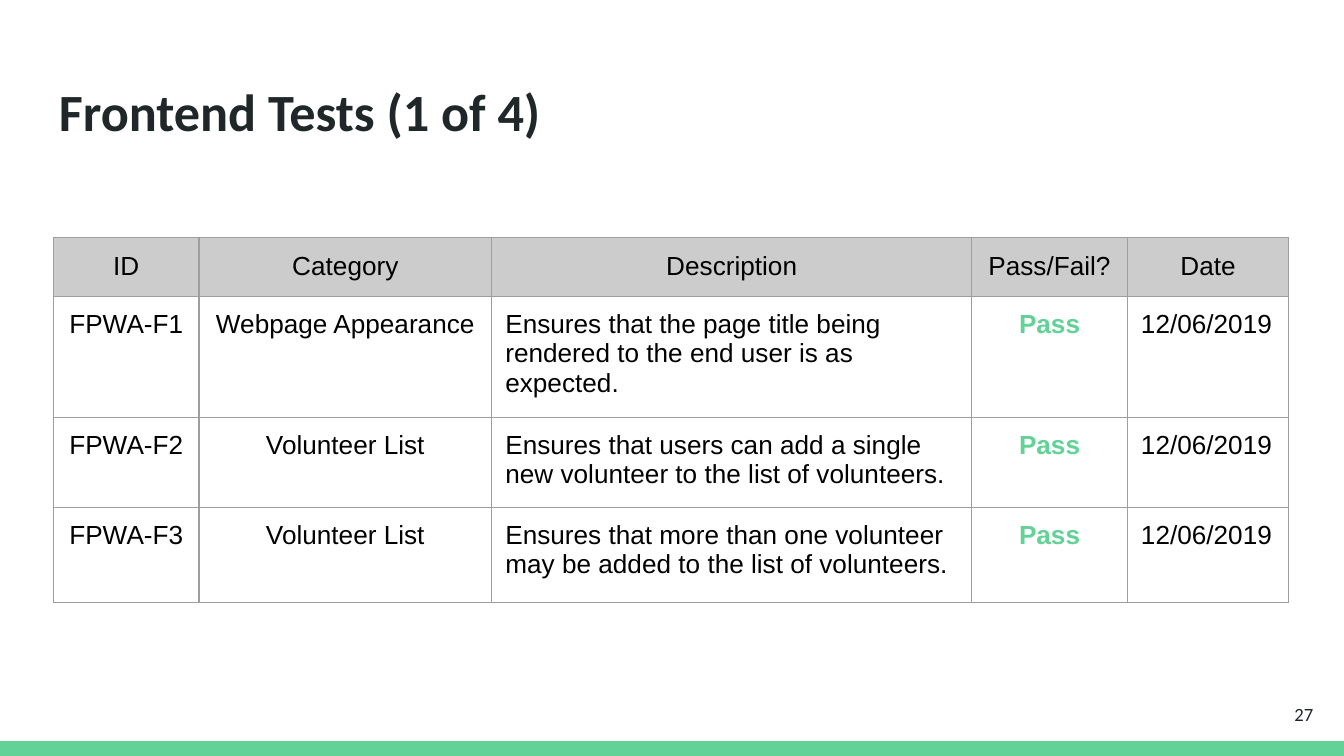
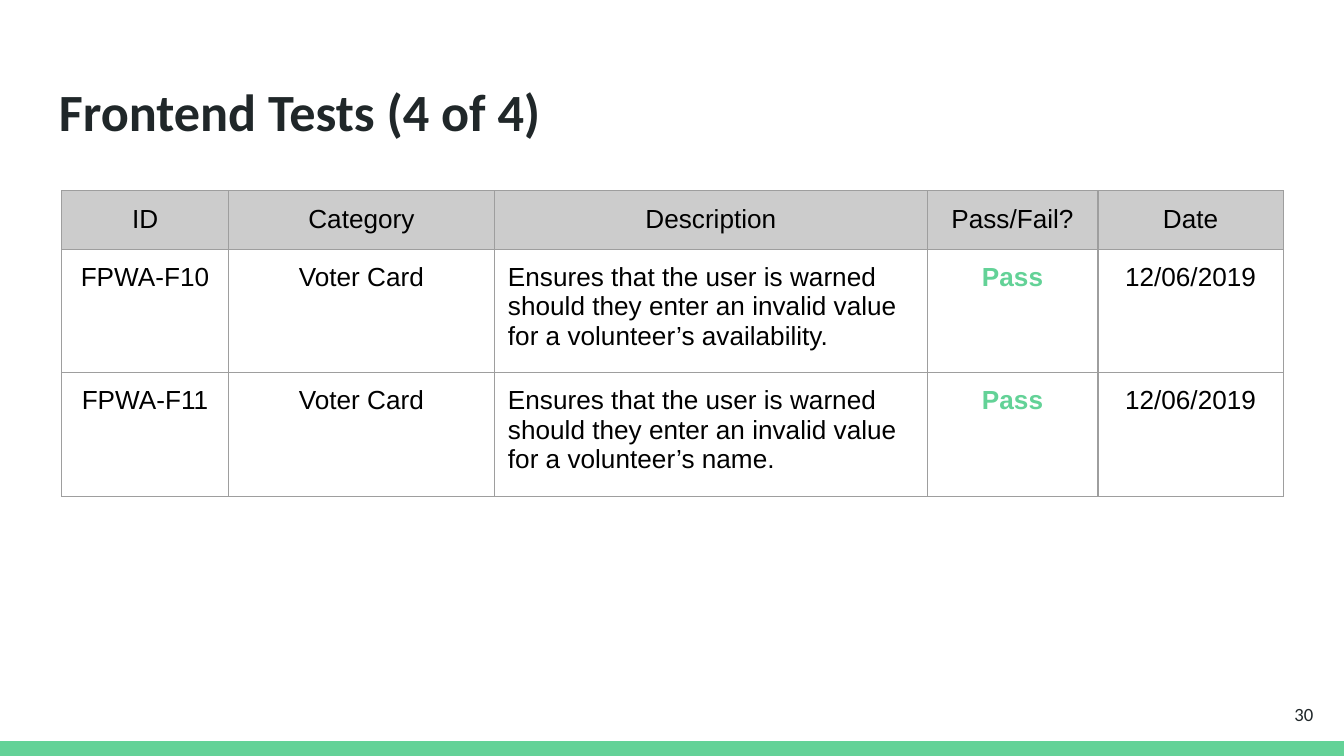
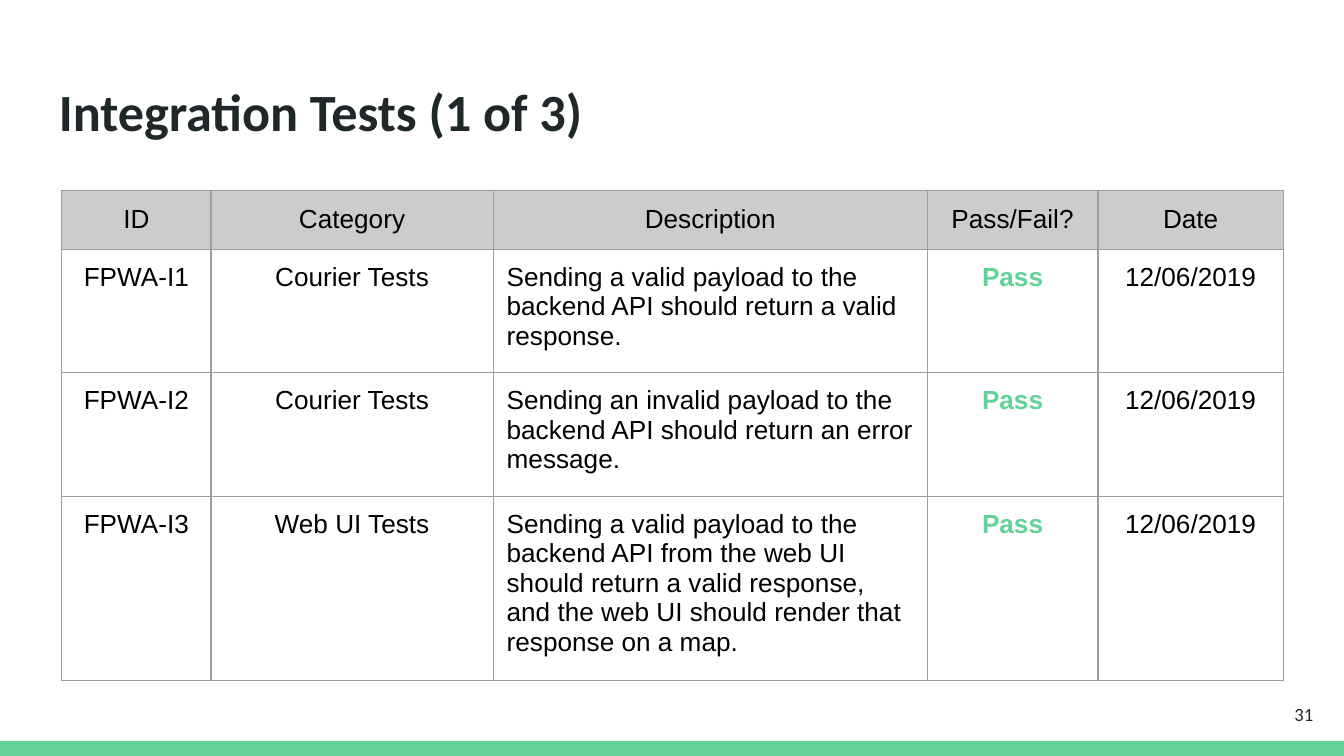
from lxml.etree import SubElement
from pptx import Presentation
from pptx.dml.color import RGBColor
from pptx.enum.shapes import MSO_SHAPE
from pptx.enum.text import MSO_ANCHOR, PP_ALIGN
from pptx.oxml.ns import qn
from pptx.util import Inches, Pt

WIDE = Inches(10)
HIGH = WIDE * 9 // 16
COLS, ROWS = 100, 56.25
UNIT = WIDE // COLS
PAD = UNIT
COLOR = {"green": "63D297", "ink": "202729", "black": "000000",
         "head": "CCCCCC", "rule": "9E9E9E", "white": "FFFFFF"}
HEADS = ["ID", "Category", "Description", "Pass/Fail?", "Date"]
DATE = "12/06/2019"
LEFT, MID, RIGHT = PP_ALIGN.LEFT, PP_ALIGN.CENTER, PP_ALIGN.RIGHT

BAND = (0, ROWS - 1.1, COLS, 1.1)
TITLE = (3.4, 4.9, 93.2, 6.3)
NUMBER = (92.7, 51, 6, 4.3)

DECK = [
    {"title": "Frontend Tests (1 of 4)", "page": 27, "spot": (4, 17.7),
     "cols": [10.8, 21.8, 35.7, 11.6, 12], "rows": [4.3, 6.7, 6.7, 7.1],
     "date": LEFT,
     "tests": [
         ("FPWA-F1", "Webpage Appearance",
          "Ensures that the page title being rendered to the end user is as expected."),
         ("FPWA-F2", "Volunteer List",
          "Ensures that users can add a single new volunteer to the list of volunteers."),
         ("FPWA-F3", "Volunteer List",
          "Ensures that more than one volunteer may be added to the list of volunteers."),
     ]},
    {"title": "Frontend Tests (4 of 4)", "page": 30, "spot": (4.6, 14.2),
     "cols": [12.4, 19.8, 32.2, 12.7, 13.8], "rows": [4.3] + [9.2] * 2,
     "date": MID,
     "tests": [
         ("FPWA-F10", "Voter Card",
          "Ensures that the user is warned should they enter an invalid value for a volunteer’s availability."),
         ("FPWA-F11", "Voter Card",
          "Ensures that the user is warned should they enter an invalid value for a volunteer’s name."),
     ]},
    {"title": "Integration Tests (1 of 3)", "page": 31, "spot": (4.6, 14.2),
     "cols": [11.1, 21, 32.3, 12.7, 13.8], "rows": [4.3] + [9.2] * 3,
     "date": MID,
     "tests": [
         ("FPWA-I1", "Courier Tests",
          "Sending a valid payload to the backend API should return a valid response."),
         ("FPWA-I2", "Courier Tests",
          "Sending an invalid payload to the backend API should return an error message."),
         ("FPWA-I3", "Web UI Tests",
          "Sending a valid payload to the backend API from the web UI should return a valid response, "
          "and the web UI should render that response on a map."),
     ]},
]


def tint(name):
    """Return a palette colour."""
    return RGBColor.from_string(COLOR[name])


def span(*units):
    """Turn grid units into lengths."""
    return [round(unit * UNIT) for unit in units]


def write(frame, text, font, size, color, align=LEFT, bold=False):
    """Put one styled paragraph into a text frame."""
    para = frame.paragraphs[0]
    para.text = text
    para.alignment = align
    para.font.name = font
    para.font.size = Pt(size)
    para.font.bold = bold
    para.font.color.rgb = tint(color)


def inset(part):
    """Give a text frame or a cell equal margins."""
    part.margin_left = part.margin_right = PAD
    part.margin_top = part.margin_bottom = PAD


def add_band(slide, box):
    """Draw the bottom band."""
    band = slide.shapes.add_shape(MSO_SHAPE.RECTANGLE, *span(*box))
    band.shadow.inherit = False
    band.fill.solid()
    band.fill.fore_color.rgb = tint("green")
    band.line.fill.background()


def add_label(slide, box, text, size, anchor, align=LEFT, bold=False):
    """Place a title or a page number."""
    frame = slide.shapes.add_textbox(*span(*box)).text_frame
    frame.word_wrap = True
    frame.vertical_anchor = anchor
    inset(frame)
    write(frame, text, "Calibri", size, "ink", align, bold)


def add_rules(cell):
    """Draw the four borders of a cell."""
    props = cell._tc.get_or_add_tcPr()
    for side in ("a:lnL", "a:lnR", "a:lnT", "a:lnB"):
        line = SubElement(props, qn(side), w=str(Pt(0.75)))
        fill = SubElement(line, qn("a:solidFill"))
        SubElement(fill, qn("a:srgbClr"), val=COLOR["rule"])


def add_tests(slide, spot, cols, rows, tests, date):
    """Build the table of test results."""
    box = (*spot, sum(cols), sum(rows))
    table = slide.shapes.add_table(len(rows), len(cols), *span(*box)).table
    table.first_row = table.horz_banding = False
    for col, width in zip(table.columns, span(*cols)):
        col.width = width
    for row, height in zip(table.rows, span(*rows)):
        row.height = height
    aligns = [MID, MID, LEFT, MID, date]
    lines = [HEADS] + [(*test, "Pass", DATE) for test in tests]
    for r, line in enumerate(lines):
        for c, text in enumerate(line):
            cell = table.cell(r, c)
            inset(cell)
            add_rules(cell)
            if r == 0:
                cell.fill.solid()
                cell.fill.fore_color.rgb = tint("head")
            else:
                cell.fill.background()
            mark = text == "Pass"
            write(cell.text_frame, text, "Arial", 14,
                  "green" if mark else "black",
                  aligns[c] if r else MID, mark)


def add_page(deck, title, page, **grid):
    """Add one slide of test results."""
    slide = deck.slides.add_slide(deck.slide_layouts[6])
    slide.background.fill.solid()
    slide.background.fill.fore_color.rgb = tint("white")
    add_band(slide, BAND)
    add_label(slide, TITLE, title, 28, MSO_ANCHOR.TOP, bold=True)
    add_tests(slide, **grid)
    add_label(slide, NUMBER, str(page), 10, MSO_ANCHOR.MIDDLE, RIGHT)


def main():
    """Build and save the deck."""
    deck = Presentation()
    deck.slide_width, deck.slide_height = WIDE, HIGH
    for page in DECK:
        add_page(deck, **page)
    deck.save("out.pptx")


if __name__ == "__main__":
    main()
